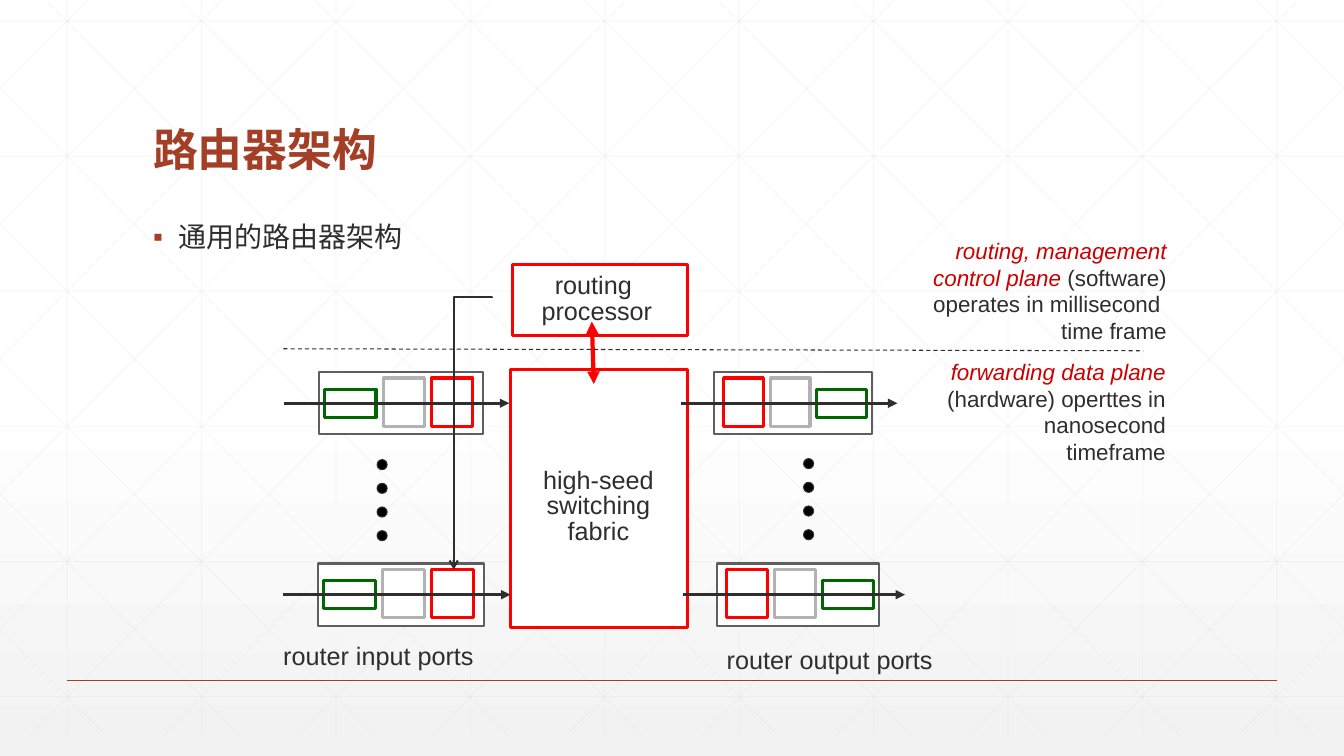
from lxml import etree
from pptx import Presentation
from pptx.dml.color import RGBColor
from pptx.enum.dml import MSO_LINE
from pptx.enum.shapes import MSO_CONNECTOR as Link, MSO_SHAPE as Preset
from pptx.enum.text import MSO_ANCHOR as Anchor, MSO_AUTO_SIZE as AutoSize, PP_ALIGN as Align
from pptx.oxml import parse_xml
from pptx.oxml.ns import nsdecls, qn
from pptx.util import Inches, Pt

WIDTH, HEIGHT = 13.33, 7.5
COLORS = {
    "accent": "A43F27", "text": "2D2E2D", "emphasis": "CC0000", "red": "FF0000",
    "green": "006600", "gray": "B2B2B2", "frame": "5F5F5F", "white": "FFFFFF",
    "black": "000000", "grid": "D9D9D9", "bottom": "F2F2F2",
}
CHINESE, LATIN = "Noto Sans CJK SC", "Arial"

TITLE = "路由器架构"
BULLET = "通用的路由器架构"
# Each paragraph is a list of (text, is emphasised)
FABRIC = [[("high-seed ", False)], [("switching", False)], [("fabric", False)]]
PROCESSOR = [[("routing ", False)], [("processor", False)]]
INPUT_LABEL = [[("router input ports", False)]]
OUTPUT_LABEL = [[("router output ports", False)]]
DATA_PLANE = [[("forwarding data plane ", True),
               ("(hardware) operttes in nanosecond timeframe", False)]]
CONTROL_PLANE = [
    [("routing, management", True)],
    [("control plane ", True), ("(software)", False)],
    [("operates in millisecond ", False)],
    [("time frame", False)],
]

# Ports: left, top, width, is output
PORTS = [(3.16, 3.69, 1.63, False), (3.15, 5.59, 1.65, False),
         (7.08, 3.69, 1.57, True), (7.11, 5.59, 1.61, True)]
PORT_WIDTH, PORT_HEIGHT = 1.63, 0.62
# Stages inside an input port: offset, drop, width, height, color
STAGES = [(0.06, 0.17, 0.51, 0.28, "green"), (0.64, 0.06, 0.41, 0.48, "gray"),
          (1.12, 0.06, 0.41, 0.48, "red")]
ARROW_BEFORE, ARROW_AFTER = 0.34, 0.26
DOT_COLUMNS = [(3.74, 4.56), (7.97, 4.55)]
DOT_SIZE, DOT_PITCH, DOT_COUNT = 0.1, 0.235, 4
GRID_STEP, GRID_TOP, GRID_BOTTOM = WIDTH / 10, -0.21, 7.29
ROW_TOP, ROW_STEP = 0.21, 1.34
DIAGONAL_START, DIAGONAL_RUN = 0.25, 7.455


def color(name):
    return RGBColor.from_string(COLORS[name])


def add_line(slide, start, end, name, weight, kind=Link.STRAIGHT, head=None, tail=None):
    line = slide.shapes.add_connector(kind, *(Inches(v) for v in (*start, *end)))
    line.line.color.rgb = color(name)
    line.line.width = Pt(weight)
    outline = line.line._get_or_add_ln()
    for tag, arrow in (("a:headEnd", head), ("a:tailEnd", tail)):
        if arrow:
            etree.SubElement(outline, qn(tag)).set("type", arrow)
    etree.SubElement(line._element.spPr, qn("a:effectLst"))
    return line


def add_box(slide, box, fill, outline, weight, preset=Preset.RECTANGLE):
    shape = slide.shapes.add_shape(preset, *map(Inches, box))
    shape.shadow.inherit = False
    shape.fill.solid()
    shape.fill.fore_color.rgb = color(fill)
    shape.line.color.rgb = color(outline)
    shape.line.width = Pt(weight)
    return shape


def add_run(paragraph, text, size, name, typeface, bold=False, italic=False):
    run = paragraph.add_run()
    run.text = text
    font = run.font
    font.size, font.name, font.bold, font.italic = Pt(size), typeface, bold, italic
    font.color.rgb = color(name)
    if typeface == CHINESE:
        etree.SubElement(run._r.get_or_add_rPr(), qn("a:ea")).set("typeface", typeface)


def add_text_frame(slide, box, wrap=True):
    frame = slide.shapes.add_textbox(*map(Inches, box)).text_frame
    frame.word_wrap = wrap
    return frame


def add_label(slide, box, paragraphs, size=18, align=Align.LEFT, spacing=1.0, wrap=False):
    frame = add_text_frame(slide, box, wrap)
    frame.auto_size = AutoSize.SHAPE_TO_FIT_TEXT
    for index, runs in enumerate(paragraphs):
        paragraph = frame.add_paragraph() if index else frame.paragraphs[0]
        paragraph.alignment = align
        paragraph.line_spacing = spacing
        for text, emphasised in runs:
            add_run(paragraph, text, size, "emphasis" if emphasised else "text",
                    LATIN, italic=emphasised)


def add_grid_line(slide, start, end):
    line = add_line(slide, start, end, "grid", 0.5)
    shade = line._element.spPr.find(".//" + qn("a:srgbClr"))
    etree.SubElement(shade, qn("a:alpha")).set("val", "25000")


def add_background(slide):
    fill = slide.background.fill
    fill.gradient()
    fill.gradient_angle = 270
    stops = slide._element.find(".//" + qn("a:gsLst"))
    for stop in list(stops):
        stops.remove(stop)
    for share, name in ((0, "white"), (53, "white"), (100, "bottom")):
        stops.append(parse_xml(
            f'<a:gs {nsdecls("a")} pos="{share * 1000}">'
            f'<a:srgbClr val="{COLORS[name]}"/></a:gs>'))

    for column in range(10):
        x = GRID_STEP * (column + 0.5)
        add_grid_line(slide, (x, GRID_TOP), (x, GRID_BOTTOM))
    for row in range(6):
        y = ROW_TOP + ROW_STEP * row
        add_grid_line(slide, (0, y), (WIDTH, y))
    slope = (GRID_BOTTOM - GRID_TOP) / DIAGONAL_RUN
    for step in range(-5, 10):
        origin = DIAGONAL_START + GRID_STEP * step
        ends = [(x, GRID_TOP + (x - origin) * slope)
                for x in (max(origin, 0), min(origin + DIAGONAL_RUN, WIDTH))]
        add_grid_line(slide, *ends)
        add_grid_line(slide, *((WIDTH - x, y) for x, y in ends))
    add_line(slide, (GRID_STEP / 2, 0.9 * HEIGHT),
             (WIDTH - GRID_STEP / 2, 0.9 * HEIGHT), "accent", 1)


def add_headings(slide):
    frame = add_text_frame(slide, (1.42, 0.55, 10.5, 1.25))
    frame.vertical_anchor = Anchor.BOTTOM
    frame.paragraphs[0].line_spacing = 0.9
    add_run(frame.paragraphs[0], TITLE, 32, "accent", CHINESE, bold=True)

    paragraph = add_text_frame(slide, (1.42, 2.17, 10.5, 0.44)).paragraphs[0]
    paragraph.line_spacing = 0.9
    properties = paragraph._p.get_or_add_pPr()
    properties.set("marL", str(Inches(0.25)))
    properties.set("indent", str(-Inches(0.25)))
    shade = etree.SubElement(properties, qn("a:buClr"))
    etree.SubElement(shade, qn("a:srgbClr")).set("val", COLORS["accent"])
    etree.SubElement(properties, qn("a:buFont")).set("typeface", LATIN)
    etree.SubElement(properties, qn("a:buChar")).set("char", "▪")
    add_run(paragraph, BULLET, 20, "text", CHINESE)


def add_port(slide, left, top, width, is_output):
    """Draw a port; an output port holds the stages in reverse order."""
    scale = width / PORT_WIDTH
    add_box(slide, (left, top, width, PORT_HEIGHT), "white", "frame", 1.5)
    for offset, drop, stage_width, stage_height, name in STAGES:
        if is_output:
            offset = PORT_WIDTH - offset - stage_width
        add_box(slide, (left + offset * scale, top + drop, stage_width * scale, stage_height),
                "white", name, 2.25)
    middle = top + PORT_HEIGHT / 2
    add_line(slide, (left - ARROW_BEFORE * scale, middle),
             (left + width + ARROW_AFTER * scale, middle), "text", 2.25, tail="triangle")


def add_update_path(slide):
    """Draw the elbow arrow from the processor down to the last input port."""
    path = add_line(slide, (3.34, 4.11), (6.04, 4.49), "text", 1.5, Link.ELBOW, tail="arrow")
    properties = path._element.spPr
    properties.find(qn("a:xfrm")).set("rot", str(90 * 60000))
    guide = etree.SubElement(properties.find(".//" + qn("a:avLst")), qn("a:gd"))
    guide.set("name", "adj1")
    guide.set("fmla", "val -100")


def main():
    presentation = Presentation()
    presentation.slide_width, presentation.slide_height = Inches(WIDTH), Inches(HEIGHT)
    slide = presentation.slides.add_slide(presentation.slide_layouts[6])
    add_background(slide)
    add_headings(slide)

    add_box(slide, (5.06, 3.67, 1.76, 2.56), "white", "red", 2.25)
    add_label(slide, (5.26, 4.6, 1.35, 0.88), FABRIC, align=Align.CENTER, spacing=0.85)
    add_box(slide, (5.08, 2.62, 1.74, 0.71), "white", "red", 2.25)
    add_label(slide, (5.27, 2.67, 1.3, 0.61), PROCESSOR, align=Align.CENTER, spacing=0.85)
    add_line(slide, (5.87, 3.19), (5.89, 3.81), "red", 3, head="triangle", tail="triangle")

    for port in PORTS:
        add_port(slide, *port)
    for left, top in DOT_COLUMNS:
        for index in range(DOT_COUNT):
            add_box(slide, (left, top + DOT_PITCH * index, DOT_SIZE, DOT_SIZE),
                    "black", "text", 0.75, Preset.OVAL)
    add_label(slide, (2.71, 6.3, 2.09, 0.4), INPUT_LABEL)
    add_label(slide, (7.11, 6.34, 2.24, 0.4), OUTPUT_LABEL)

    divider = add_line(slide, (2.81, 3.46), (11.34, 3.48), "text", 0.75)
    divider.line.dash_style = MSO_LINE.DASH
    add_label(slide, (9.27, 3.5, 2.39, 1.18), DATA_PLANE, 16, Align.RIGHT, wrap=True)
    add_label(slide, (8.52, 2.3, 3.15, 1.18), CONTROL_PLANE, 16, Align.RIGHT, wrap=True)
    add_update_path(slide)
    presentation.save("out.pptx")


if __name__ == "__main__":
    main()
